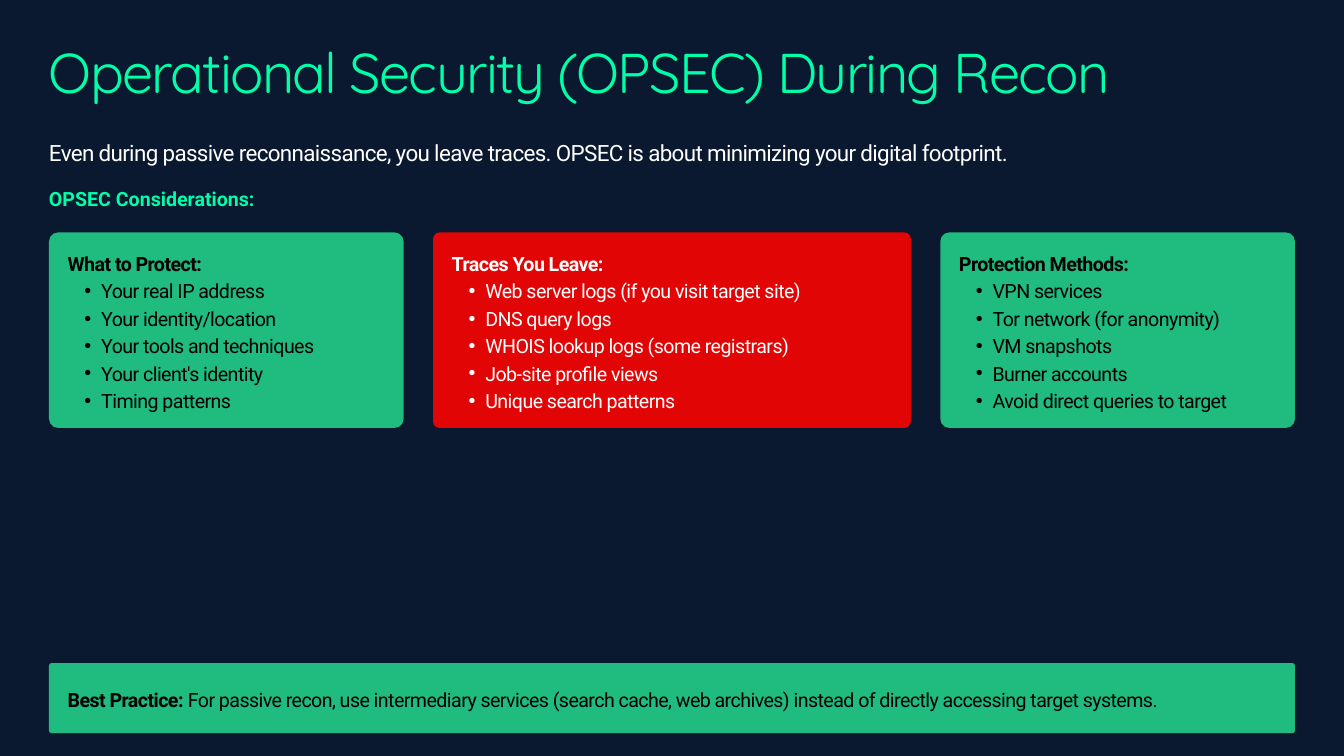
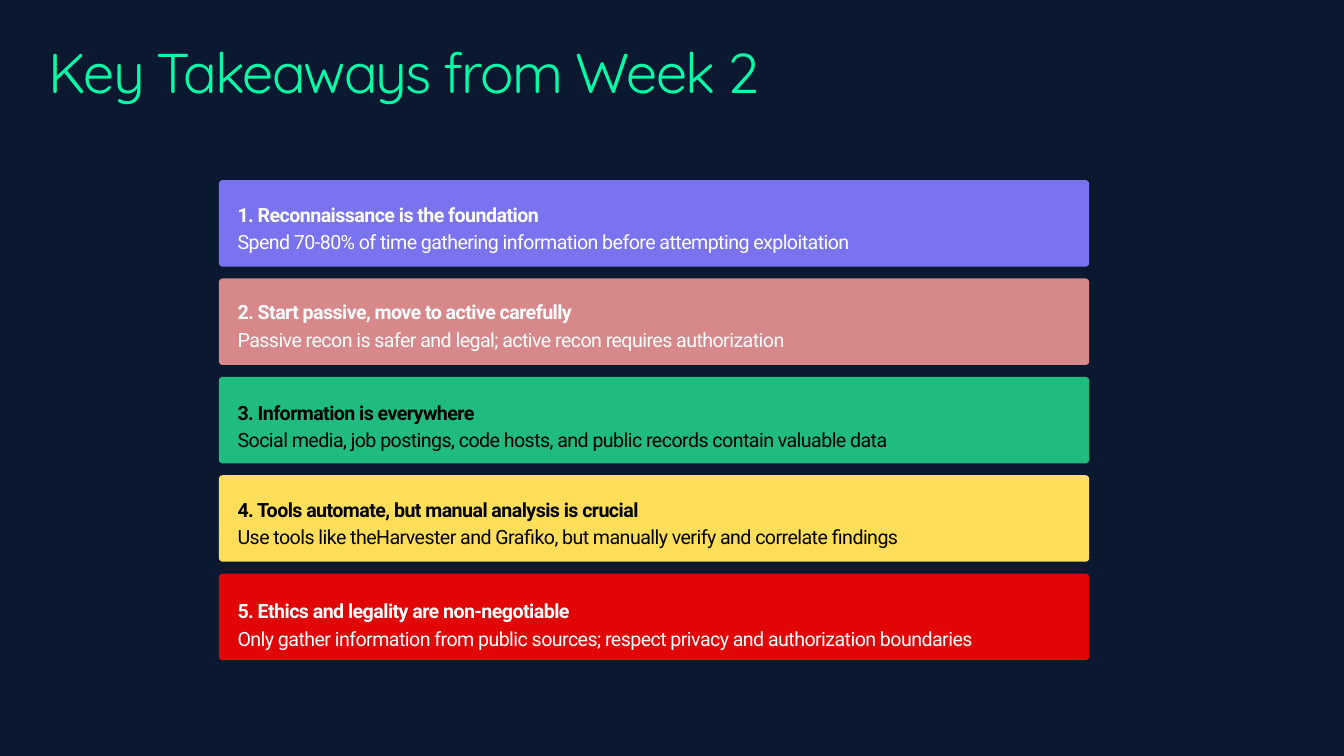
from dataclasses import dataclass

import pptx
import pptx.dml.color
import pptx.enum.shapes
import pptx.enum.text
import pptx.oxml.ns
import pptx.util
from lxml import etree

Pt = pptx.util.Pt
Align = pptx.enum.text.PP_ALIGN
Anchor = pptx.enum.text.MSO_ANCHOR


@dataclass(frozen=True)
class Style:
    font: str
    size: float
    lead: float
    track: float = 0


@dataclass(frozen=True)
class Theme:
    back: str = "0A192F"
    mint: str = "00FFA8"
    white: str = "FFFFFF"
    black: str = "000000"
    green: str = "1FBB7F"
    red: str = "E10505"
    violet: str = "7973F0"
    rose: str = "D6888A"
    yellow: str = "FFDE59"
    title: Style = Style("Quicksand", 60, 60, -1.8)
    intro: Style = Style("Roboto", 24, 28.8, -0.7)
    head: Style = Style("Roboto", 21, 29.4)
    body: Style = Style("Roboto", 21, 29.4, -0.6)


THEME = Theme()
WIDTH, HEIGHT = 1440, 810
LEFT = 52.5
SPAN = WIDTH - 2 * LEFT
INSET = 20


@dataclass(frozen=True)
class Run:
    text: str
    bold: bool = False


@dataclass(frozen=True)
class Para:
    runs: tuple[Run, ...]
    bullet: bool = False


@dataclass(frozen=True)
class Box:
    left: float
    top: float
    width: float
    height: float


@dataclass(frozen=True)
class Card:
    title: str
    items: tuple[str, ...]
    width: float
    curve: float
    fill: str
    ink: str


@dataclass(frozen=True)
class Bar:
    title: str
    text: str
    fill: str
    ink: str
    shift: float = 0


CARDS = (
    Card("What to Protect:",
         ("Your real IP address", "Your identity/location",
          "Your tools and techniques", "Your client's identity",
          "Timing patterns"),
         380, 9.7, THEME.green, THEME.black),
    Card("Traces You Leave:",
         ("Web server logs (if you visit target site)", "DNS query logs",
          "WHOIS lookup logs (some registrars)", "Job-site profile views",
          "Unique search patterns"),
         512, 7, THEME.red, THEME.white),
    Card("Protection Methods:",
         ("VPN services", "Tor network (for anonymity)", "VM snapshots",
          "Burner accounts", "Avoid direct queries to target"),
         380, 9.7, THEME.green, THEME.black),
)

BARS = (
    Bar("Reconnaissance is the foundation",
        "Spend 70-80% of time gathering information before attempting exploitation",
        THEME.violet, THEME.white),
    Bar("Start passive, move to active carefully",
        "Passive recon is safer and legal; active recon requires authorization",
        THEME.rose, THEME.white, -1),
    Bar("Information is everywhere",
        "Social media, job postings, code hosts, and public records contain valuable data",
        THEME.green, THEME.black, 1.5),
    Bar("Tools automate, but manual analysis is crucial",
        "Use tools like theHarvester and Grafiko, but manually verify and correlate findings",
        THEME.yellow, THEME.black),
    Bar("Ethics and legality are non-negotiable",
        "Only gather information from public sources; respect privacy and authorization boundaries",
        THEME.red, THEME.white, 3),
)


def tint(code: str) -> pptx.dml.color.RGBColor:
    return pptx.dml.color.RGBColor.from_string(code)


def place(shape, box: Box) -> None:
    shape.left, shape.top = Pt(box.left), Pt(box.top)
    shape.width, shape.height = Pt(box.width), Pt(box.height)


def mark(para) -> None:
    props = para._p.get_or_add_pPr()
    props.set("marL", str(Pt(36)))
    props.set("indent", str(Pt(-18)))
    for tag, key, value in (("a:buFont", "typeface", "Arial"),
                            ("a:buChar", "char", "•")):
        etree.SubElement(props, pptx.oxml.ns.qn(tag)).set(key, value)


def write(frame, paras: list[Para], style: Style, ink: str,
          anchor=Anchor.TOP, side: float = 0, top: float = 0) -> None:
    frame.word_wrap = True
    frame.auto_size = pptx.enum.text.MSO_AUTO_SIZE.NONE
    frame.vertical_anchor = anchor
    frame.margin_left = frame.margin_right = Pt(side)
    frame.margin_top, frame.margin_bottom = Pt(top), 0
    for spot, item in enumerate(paras):
        para = frame.add_paragraph() if spot else frame.paragraphs[0]
        para.alignment = Align.LEFT
        para.line_spacing = Pt(style.lead)
        if item.bullet:
            para.level = 1
            mark(para)
        for part in item.runs:
            run = para.add_run()
            run.text = part.text
            run.font.name = style.font
            run.font.size = Pt(style.size)
            run.font.bold = part.bold
            run.font.color.rgb = tint(ink)
            if style.track:
                run._r.get_or_add_rPr().set("spc", str(round(style.track * 100)))


def label(slide, box: Box, run: Run, style: Style, ink: str) -> None:
    shape = slide.shapes.add_textbox(0, 0, 0, 0)
    place(shape, box)
    write(shape.text_frame, [Para((run,))], style, ink)


def panel(slide, box: Box, curve: float, fill: str, ink: str,
          paras: list[Para], anchor=Anchor.MIDDLE, top: float = 0) -> None:
    kind = pptx.enum.shapes.MSO_SHAPE.ROUNDED_RECTANGLE
    shape = slide.shapes.add_shape(kind, 0, 0, 0, 0)
    place(shape, box)
    shape.adjustments[0] = curve / min(box.width, box.height)
    shape.shadow.inherit = False
    shape.fill.solid()
    shape.fill.fore_color.rgb = tint(fill)
    shape.line.fill.background()
    trim = curve * 0.29
    write(shape.text_frame, paras, THEME.body, ink, anchor,
          INSET - trim, max(top - trim, 0))


def begin(deck, title: str):
    slide = deck.slides.add_slide(deck.slide_layouts[5])
    name = slide.shapes.title
    place(name, Box(LEFT, 52, 1297, 73))
    write(name.text_frame, [Para((Run(title),))], THEME.title, THEME.mint)
    return slide


def opsec(deck) -> None:
    slide = begin(deck, "Operational Security (OPSEC) During Recon")
    label(slide, Box(LEFT, 149, SPAN, 28),
          Run("Even during passive reconnaissance, you leave traces. "
              "OPSEC is about minimizing your digital footprint."),
          THEME.intro, THEME.white)
    label(slide, Box(LEFT, 196.5, SPAN, 28),
          Run("OPSEC Considerations:", True), THEME.head, THEME.mint)
    gap = (SPAN - sum(card.width for card in CARDS)) / (len(CARDS) - 1)
    left = LEFT
    for card in CARDS:
        paras = [Para((Run(card.title, True),))]
        paras += [Para((Run(item),), True) for item in card.items]
        panel(slide, Box(left, 249, card.width, 209.5), card.curve,
              card.fill, card.ink, paras)
        left += card.width + gap
    advice = Para((
        Run("Best Practice: ", True),
        Run("For passive recon, use intermediary services (search cache, "
            "web archives) instead of directly accessing target systems."),
    ))
    panel(slide, Box(LEFT, 710.5, SPAN, 75), 3, THEME.green, THEME.black,
          [advice])


def recap(deck) -> None:
    slide = begin(deck, "Key Takeaways from Week 2")
    for spot, bar in enumerate(BARS):
        paras = [Para((Run(f"{spot + 1}. {bar.title}", True),)),
                 Para((Run(bar.text),))]
        panel(slide, Box(234.5, 193 + spot * 105.4, 932.5, 92.7), 4,
              bar.fill, bar.ink, paras, Anchor.TOP, INSET + bar.shift)


def main() -> None:
    deck = pptx.Presentation()
    deck.slide_width, deck.slide_height = Pt(WIDTH), Pt(HEIGHT)
    back = deck.slide_master.background.fill
    back.solid()
    back.fore_color.rgb = tint(THEME.back)
    opsec(deck)
    recap(deck)
    deck.save("out.pptx")


if __name__ == "__main__":
    main()
